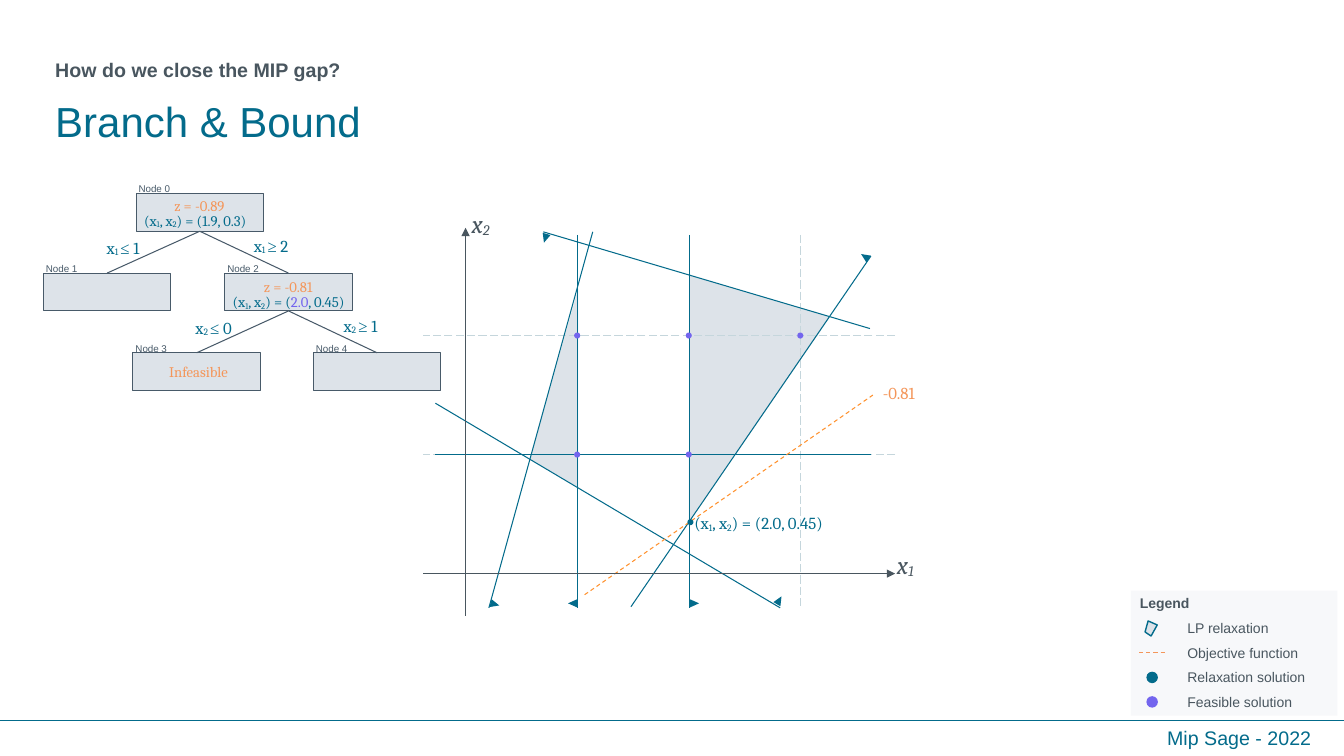
"""Build the Branch & Bound slide: search tree, feasible regions and legend."""
from dataclasses import dataclass

from lxml.etree import SubElement
from pptx import Presentation
from pptx.dml.color import RGBColor
from pptx.enum.dml import MSO_LINE as Dash
from pptx.enum.shapes import MSO_CONNECTOR as Connector, MSO_SHAPE as Shape
from pptx.enum.text import MSO_ANCHOR as Anchor, MSO_AUTO_SIZE as AutoSize, PP_ALIGN as Align
from pptx.oxml.ns import qn
from pptx.util import Pt


@dataclass(frozen=True)
class Theme:
    teal: str = "036B8B"
    grey: str = "49565F"
    slate: str = "485A69"
    region: str = "DDE3E9"
    grid: str = "C5D6DC"
    orange: str = "F4965A"
    objective: str = "FF912D"
    violet: str = "7365EE"
    sans: str = "Arial"
    serif: str = "Cambria"
    sign: str = "Times New Roman"
    title: float = 30
    axis: float = 18
    heading: float = 14
    math: float = 12
    node: float = 10.5
    legend: float = 10
    tag: float = 7
    line: float = 0.75


THEME = Theme()
ORIGIN, UNIT = (332.6, 409.7), (79.7, 85)
NODE_SIZE = (91, 27)

REGIONS = [
    [(493.2, 197.3), (592.6, 226.8), (525.6, 324.7), (493.2, 324.7)],
    [(492.5, 196.6), (591.8, 226.1), (492, 373)],
    [(413, 206.6), (413, 348), (378.3, 328.3)],
]
CONSTRAINTS = [
    ((622.1, 324.7), (311, 324.7)),
    ((412.4, 167.8), (412.4, 434.2)),
    ((492.4, 167.8), (492.4, 434.2)),
    ((349.2, 434.2), (423.4, 165.6)),
    ((621.4, 234.7), (388.1, 165.6)),
    ((622.1, 182.9), (450.7, 433.4)),
    ((311, 288), (557.3, 434.2)),
]
DIRECTIONS = [
    (553.7, 425.5, 30.7), (350.6, 428.4, 104.9), (386.6, 167, 196.8),
    (614.9, 180, 303.8), (493.2, 427.7, 90), (406.1, 427.7, 270),
]
OBJECTIVE = ((417.6, 424.8), (623.5, 282.2))
RELAXATION = (493.2, 373)
FEASIBLE = [(1, 1), (2, 1), (1, 2), (2, 2), (3, 2)]

NODES = {
    "Node 0": (97.2, 138.2),
    "Node 1": (31, 195.1),
    "Node 2": (160.6, 195.1),
    "Node 3": (95, 252),
    "Node 4": (223.9, 252),
}
BRANCHES = [
    ("Node 0", "Node 1", "1", "≤", "1", (69.1, 166.3)),
    ("Node 0", "Node 2", "1", "≥", "2", (174.2, 164.9)),
    ("Node 2", "Node 3", "2", "≤", "0", (132.5, 223.2)),
    ("Node 2", "Node 4", "2", "≥", "1", (238.3, 221.8)),
]
NODE_RESULTS = [
    ("z = -0.89", 117.4, 136.8),
    ("z = -0.81", 181.4, 195.1),
    ("Infeasible", 113.8, 255.6),
]
PAIR = [("(x", ""), ("1", "sub"), (", x", ""), ("2", "sub")]
SOLUTIONS = [
    (PAIR + [(") = (1.9, 0.3)", "")], 95.8, 147.6, 92.9, THEME.node),
    (PAIR + [(") = (", ""), ("2.0", "feasible"), (", 0.45)", "")], 159.1, 205.9, 97.9, THEME.node),
    (PAIR + [(") = (2.0, 0.45)", "")], 488.9, 362.9, 109.4, THEME.math),
]
AXIS_NAMES = [("2", 329.8, 145.4), ("1", 633.6, 388.8)]
LEGEND = ["LP relaxation", "Objective function", "Relaxation solution", "Feasible solution"]
LEGEND_TOP, LEGEND_STEP = 439.2, 17.5


def rgb(color):
    return RGBColor.from_string(color)


def plot(x, y):
    return ORIGIN[0] + x * UNIT[0], ORIGIN[1] - y * UNIT[1]


def paint(shape, fill, line=None, width=THEME.line):
    shape.shadow.inherit = False
    shape.fill.solid()
    shape.fill.fore_color.rgb = rgb(fill)
    if line:
        shape.line.color.rgb = rgb(line)
        shape.line.width = Pt(width)
    else:
        shape.line.fill.background()
    return shape


def add_preset(slide, kind, left, top, width, height, fill, line=None, width_line=THEME.line):
    shape = slide.shapes.add_shape(kind, Pt(left), Pt(top), Pt(width), Pt(height))
    return paint(shape, fill, line, width_line)


def add_dot(slide, center, size, fill, line=None):
    left, top = (value - size / 2 for value in center)
    return add_preset(slide, Shape.OVAL, left, top, size, size, fill, line, 1)


def add_polygon(slide, points, fill, line=None):
    corners = [(Pt(x), Pt(y)) for x, y in points]
    builder = slide.shapes.build_freeform(*corners[0])
    builder.add_line_segments(corners[1:], close=True)
    return paint(builder.convert_to_shape(), fill, line, 1)


def add_line(slide, start, end, color, dash=None, arrow=False):
    ends = [Pt(value) for value in (*start, *end)]
    connector = slide.shapes.add_connector(Connector.STRAIGHT, *ends)
    connector.line.color.rgb = rgb(color)
    connector.line.width = Pt(THEME.line)
    if dash:
        connector.line.dash_style = dash
    properties = connector.element.spPr
    if arrow:
        SubElement(properties.find(qn("a:ln")), qn("a:tailEnd"), type="triangle")
    SubElement(properties, qn("a:effectLst"))


def add_text(slide, runs, left, top, width, height, size, color, font=THEME.sans,
             bold=False, italic=False, align=Align.LEFT, wrap=True):
    box = slide.shapes.add_textbox(Pt(left), Pt(top), Pt(width), Pt(height))
    frame = box.text_frame
    frame.word_wrap = wrap
    frame.auto_size = AutoSize.NONE if wrap else AutoSize.SHAPE_TO_FIT_TEXT
    paragraph = frame.paragraphs[0]
    paragraph.alignment = align
    for text, mark in [(runs, "")] if isinstance(runs, str) else runs:
        run = paragraph.add_run()
        run.text = text
        run.font.size = Pt(size)
        run.font.name = THEME.sign if mark == "sign" else font
        run.font.bold, run.font.italic = bold, italic
        run.font.color.rgb = rgb(THEME.violet if mark == "feasible" else color)
        if mark == "sub":
            run.font._element.set("baseline", "-8000")
    return frame


def draw_plot(slide):
    for region in REGIONS:
        add_polygon(slide, region, THEME.region)
    for level in (1, 2):
        height = plot(0, level)[1]
        add_line(slide, (639.4, height), (302.4, height), THEME.grid, Dash.LONG_DASH)
    column = plot(3, 0)[0]
    add_line(slide, (column, 167.8), (column, 433.4), THEME.grid, Dash.LONG_DASH)
    for start, end in CONSTRAINTS:
        add_line(slide, start, end, THEME.teal)
    for left, top, angle in DIRECTIONS:
        add_preset(slide, Shape.ISOSCELES_TRIANGLE, left, top, 5.8, 6.5, THEME.teal).rotation = angle
    for point in FEASIBLE:
        add_dot(slide, plot(*point), 4.3, THEME.violet)
    add_line(slide, *OBJECTIVE, THEME.objective, Dash.DASH)
    add_dot(slide, RELAXATION, 4.3, THEME.teal)
    add_line(slide, (302.4, ORIGIN[1]), (639.4, ORIGIN[1]), THEME.grey, arrow=True)
    add_line(slide, (ORIGIN[0], 439.9), (ORIGIN[0], 162.7), THEME.grey, arrow=True)
    for index, left, top in AXIS_NAMES:
        add_text(slide, [("x", ""), (index, "sub")], left, top, 27.4, 25.2, THEME.axis,
                 THEME.grey, THEME.serif, italic=True, wrap=False)
    add_text(slide, "-0.81", 623.5, 270, 38.9, 19.4, THEME.math, THEME.orange, THEME.serif, wrap=False)


def draw_tree(slide):
    width, height = NODE_SIZE
    for name, (left, top) in NODES.items():
        add_preset(slide, Shape.RECTANGLE, left, top, width, height, THEME.region, THEME.slate)
        add_text(slide, name, left - 12.5, top - 11, 51, 15.8, THEME.tag, THEME.slate, align=Align.CENTER)
    for parent, child, index, sign, bound, (left, top) in BRANCHES:
        (parent_x, parent_y), (child_x, child_y) = NODES[parent], NODES[child]
        add_line(slide, (parent_x + width / 2, parent_y + height), (child_x + width / 2, child_y), THEME.slate)
        runs = [("x", ""), (f"{index} ", "sub"), (sign, "sign"), (f" {bound}", "")]
        add_text(slide, runs, left, top, 41.8, 20.2, THEME.math, THEME.teal, THEME.serif, wrap=False)
    for text, left, top in NODE_RESULTS:
        add_text(slide, text, left, top, 72, 17.3, THEME.node, THEME.orange, THEME.serif)
    for runs, left, top, box_width, size in SOLUTIONS:
        add_text(slide, runs, left, top, box_width, 17.3, size, THEME.teal, THEME.serif, wrap=False)


def draw_legend(slide):
    panel = add_preset(slide, Shape.RECTANGLE, 807.8, 421.9, 147.6, 89.3, THEME.region)
    SubElement(panel.element.spPr.find(f".//{qn('a:srgbClr')}"), qn("a:alpha"), val="22000")
    add_text(slide, "Legend", 807.1, 421.2, 133.2, 19.4, THEME.legend, THEME.grey, bold=True)
    tops = [LEGEND_TOP + row * LEGEND_STEP for row in range(len(LEGEND))]
    for label, top in zip(LEGEND, tops):
        add_text(slide, label, 841, top, 113.8, 19.4, THEME.legend, THEME.grey)
    polygon, dash, relaxation, feasible = (top + 9.7 for top in tops)
    outline = [(820.1, -5.4), (826.6, -2.5), (822.2, 5.4), (817.9, 2.5)]
    add_polygon(slide, [(x, polygon + offset) for x, offset in outline], THEME.region, THEME.teal)
    add_line(slide, (813.6, dash), (833.8, dash), THEME.orange, Dash.DASH)
    for middle, color in ((relaxation, THEME.teal), (feasible, THEME.violet)):
        add_dot(slide, (823, middle), 7.2, color, color)


def main():
    presentation = Presentation()
    presentation.slide_width, presentation.slide_height = Pt(960), Pt(540)
    slide = presentation.slides.add_slide(presentation.slide_layouts[6])
    draw_plot(slide)
    draw_legend(slide)
    title = add_text(slide, "Branch & Bound", 32.4, 64.8, 828, 47.5, THEME.title, THEME.teal)
    title.vertical_anchor = Anchor.MIDDLE
    subtitle = add_text(slide, "How do we close the MIP gap?", 32.4, 39.6, 434.2, 18,
                        THEME.heading, THEME.grey, bold=True)
    for frame in (title, subtitle):
        frame.paragraphs[0].line_spacing = 0.9
    draw_tree(slide)
    add_line(slide, (0, 514.8), (960, 514.8), THEME.teal)
    add_text(slide, "Mip Sage - 2022", 826.6, 514.8, 122.4, 24.5, THEME.heading, THEME.teal)
    presentation.save("out.pptx")


if __name__ == "__main__":
    main()
